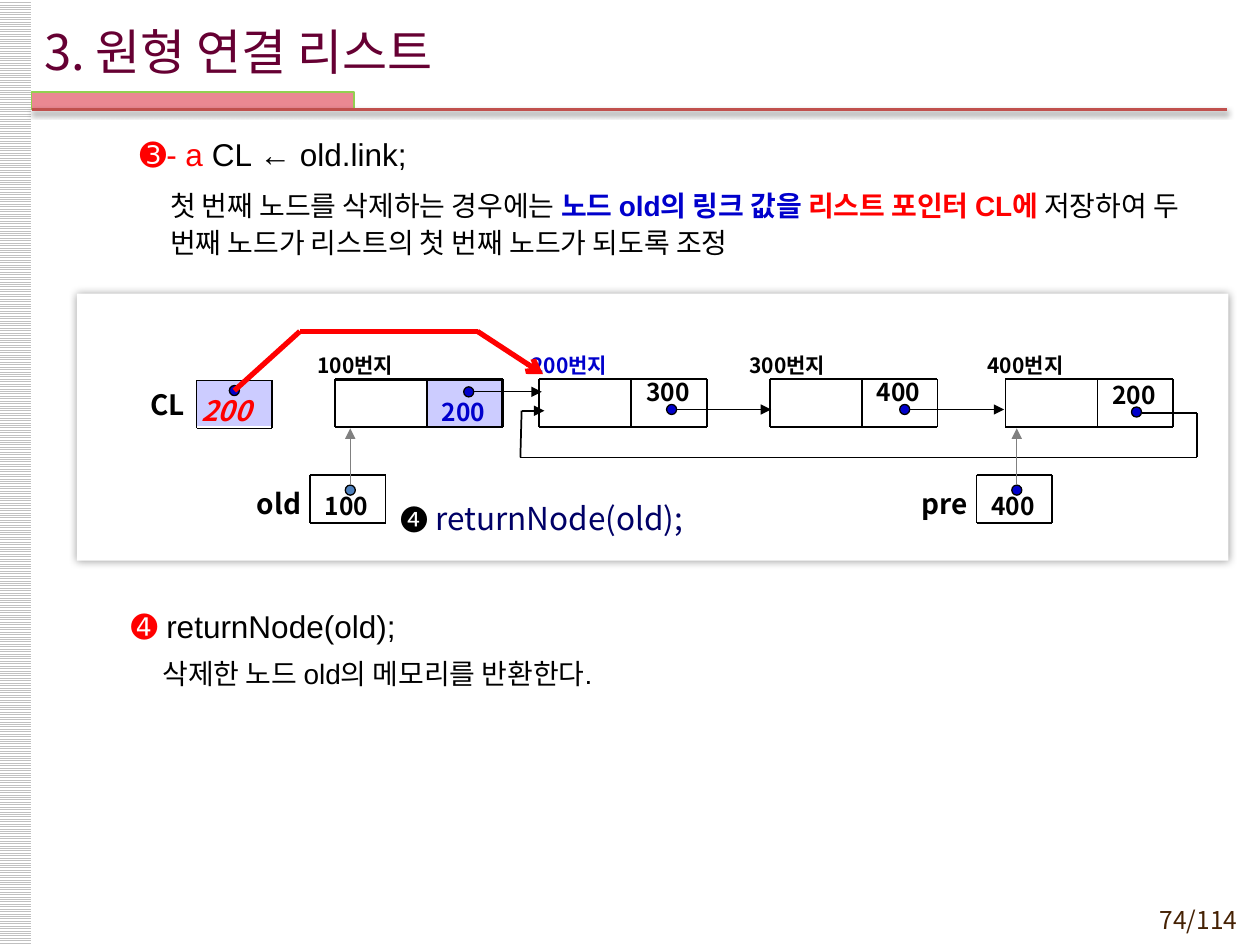
from lxml import etree
from pptx import Presentation
from pptx.dml.color import RGBColor
from pptx.enum.dml import MSO_PATTERN
from pptx.enum.shapes import MSO_CONNECTOR, MSO_SHAPE
from pptx.enum.text import MSO_ANCHOR, MSO_AUTO_SIZE, PP_ALIGN
from pptx.oxml.ns import qn
from pptx.util import Inches, Pt

RECTANGLE, OVAL = MSO_SHAPE.RECTANGLE, MSO_SHAPE.OVAL
STRAIGHT = MSO_CONNECTOR.STRAIGHT
LEFT, RIGHT = PP_ALIGN.LEFT, PP_ALIGN.RIGHT
TOP, MIDDLE = MSO_ANCHOR.TOP, MSO_ANCHOR.MIDDLE
NO_AUTOFIT = MSO_AUTO_SIZE.NONE
LIGHT_HORIZONTAL = MSO_PATTERN.LIGHT_HORIZONTAL

KOREAN, LATIN = "Noto Sans CJK KR", "Arial"
COLORS = {
    "black": "000000", "white": "FFFFFF", "red": "FF0000", "blue": "0000CC",
    "navy": "000066", "lavender": "CCCCFF", "gray": "808080", "steel": "4F81BD",
    "stripe": "C0C0C0", "pink": "EA8892", "green": "92D050", "rule": "C0504D",
    "title": "660033", "page": "452103",
}
NODE_TOP, BOX_HEIGHT, CELL_WIDTH, NODE_WIDTH, DIVIDER = 3.01, 0.38, 0.6, 1.33, 0.73
POINTER_TOP, DOT = 3.77, 0.08


def color(name):
    return RGBColor.from_string(COLORS[name])


class SlideBuilder:
    def __init__(self, slide):
        self.slide = slide

    def runs(self, paragraph, parts, size, font=KOREAN):
        """Each part is (text, color, style), where style holds b and/or i."""
        for text, tint, style in parts:
            run = paragraph.add_run()
            run.text = text
            run.font.size = Pt(size)
            run.font.bold = "b" in style
            run.font.italic = "i" in style
            run.font.color.rgb = color(tint)
            run.font.name = font
            east_asian = etree.Element(qn("a:ea"), typeface=KOREAN)
            run.font._element.find(qn("a:latin")).addnext(east_asian)

    def indent(self, paragraph, margin, first=0):
        properties = paragraph._p.get_or_add_pPr()
        properties.set("marL", str(Inches(margin)))
        properties.set("indent", str(Inches(first)))
        etree.SubElement(properties, qn("a:buNone"))

    def place(self, shape, left, top, width, height, anchor):
        shape.left, shape.top = Inches(left), Inches(top)
        shape.width, shape.height = Inches(width), Inches(height)
        frame = shape.text_frame
        frame.word_wrap, frame.auto_size = True, NO_AUTOFIT
        frame.vertical_anchor = anchor
        return frame

    def text(self, left, top, width, height, text, size, tint="black",
             style="b", align=LEFT, anchor=MIDDLE):
        box = self.slide.shapes.add_textbox(0, 0, 0, 0)
        frame = self.place(box, left, top, width, height, anchor)
        frame.paragraphs[0].alignment = align
        self.runs(frame.paragraphs[0], [(text, tint, style)], size)
        return frame

    def shape(self, kind, left, top, width, height, fill, line=None):
        shape = self.slide.shapes.add_shape(
            kind, Inches(left), Inches(top), Inches(width), Inches(height))
        shape.shadow.inherit = False
        shape.fill.solid()
        shape.fill.fore_color.rgb = color(fill)
        if line:
            shape.line.color.rgb = color(line)
            shape.line.width = Pt(0.75)
        else:
            shape.line.fill.background()
        return shape

    def line(self, x1, y1, x2, y2, tint="black", width=1, head=None):
        line = self.slide.shapes.add_connector(
            STRAIGHT, Inches(x1), Inches(y1), Inches(x2), Inches(y2))
        line.line.color.rgb = color(tint)
        line.line.width = Pt(width)
        if head:
            etree.SubElement(line.line._get_or_add_ln(), qn("a:tailEnd"), type=head)
        etree.SubElement(line._element.spPr, qn("a:effectLst"))
        return line

    def shadow(self, shape, opacity, blur, distance=0, angle=0):
        effects = shape._element.spPr.find(qn("a:effectLst"))
        outer = etree.SubElement(
            effects, qn("a:outerShdw"), blurRad=str(Pt(blur)), dist=str(Pt(distance)),
            dir=str(angle * 60000), algn="ctr", rotWithShape="0")
        black = etree.SubElement(outer, qn("a:srgbClr"), val=COLORS["black"])
        etree.SubElement(black, qn("a:alpha"), val=str(opacity * 1000))

    def dot(self, left, top, fill="blue"):
        self.shape(OVAL, left, top, DOT, DOT, fill, "black")

    def frame(self, left, top, width, dividers=(), weight=1):
        bottom = top + BOX_HEIGHT
        for y in (top, bottom):
            self.line(left, y, left + width, y, width=weight)
        for offset in (0, *dividers, width):
            self.line(left + offset, top, left + offset, bottom, width=weight)

    def node(self, left, label_left, label, value, value_top,
             tint="black", value_tint="black", weight=1):
        self.frame(left, NODE_TOP, NODE_WIDTH, (DIVIDER,), weight)
        self.text(label_left, 2.81, 0.96, 0.18, label, 12, tint)
        self.text(left + 0.75, value_top, 0.56, 0.18, value, 14, value_tint)

    def name(self, left, top, text):
        frame = self.text(left, top, 0.46, 0.38, text, 16, align=RIGHT)
        frame.margin_left = frame.margin_right = frame.margin_top = 0

    def pointer(self, left, name, value, fill):
        self.name(left - 0.53, 3.83, name)
        self.frame(left, POINTER_TOP, CELL_WIDTH)
        self.text(left + 0.02, 3.92, 0.56, 0.18, value, 14)
        self.dot(left + 0.28, 3.85, fill)
        self.line(left + 0.32, 3.85, left + 0.32, 3.4, "gray", 0.75, "triangle")

    def link(self, left, top, end):
        middle = top + DOT / 2
        self.line(left + DOT, middle, end, middle, width=0.75, head="triangle")
        self.dot(left, top)


def main():
    presentation = Presentation()
    presentation.slide_width, presentation.slide_height = Inches(10), Inches(7.5)
    slide = presentation.slides.add_slide(presentation.slide_layouts[1])
    builder = SlideBuilder(slide)

    # Side stripe, header rule and page number
    stripe = builder.shape(RECTANGLE, -0.01, 0, 0.26, 7.5, "white")
    stripe.fill.patterned()
    stripe.fill.pattern = LIGHT_HORIZONTAL
    stripe.fill.fore_color.rgb = color("stripe")
    stripe.fill.back_color.rgb = color("white")
    builder.shape(RECTANGLE, 0.25, 0.73, 2.56, 0.14, "pink", "green")
    rule = builder.line(0.25, 0.87, 9.74, 0.87, "rule", 2)
    builder.shadow(rule, 38, 3.1, 1.6, 90)
    builder.text(8.86, 7.13, 1.06, 0.29, "74/114", 14, "page", "", RIGHT, TOP)

    # Title
    title = builder.place(slide.shapes.title, 0.25, 0.09, 8.27, 0.63, MIDDLE)
    title.paragraphs[0].alignment = LEFT
    builder.runs(title.paragraphs[0], [("3. 원형 연결 리스트", "title", "")], 28)

    # Explanations: margin, size, space before, line spacing, runs
    body = builder.place(slide.placeholders[1], 0.25, 1.02, 9.5, 6.25, TOP)
    explanations = [
        (0.76, 18, 0, 1, [("➌- a ", "red", ""), ("CL ← old.link;", "black", "")]),
        (1, 16, 4, 1.1, [
            ("첫 번째 노드를 삭제하는 경우에는 ", "black", ""),
            ("노드 old의 링크 값을 ", "blue", "b"),
            ("리스트 포인터 CL에 ", "red", "b"),
            ("저장하여 두 번째 노드가 리스트의 첫 번째 노드가 되도록 조정", "black", "")]),
        (0.69, 18, 196, 1, [("➍ ", "red", ""), ("returnNode(old);", "black", "")]),
        (0.94, 16, 4, 1, [("삭제한 노드 old의 메모리를 반환한다.", "black", "")]),
    ]
    for index, (margin, size, before, spacing, parts) in enumerate(explanations):
        paragraph = body.add_paragraph() if index else body.paragraphs[0]
        builder.indent(paragraph, margin)
        paragraph.space_before, paragraph.space_after = Pt(before), Pt(3)
        paragraph.line_spacing = spacing
        builder.runs(paragraph, parts, size, LATIN)

    # Diagram panel
    panel = builder.shape(RECTANGLE, 0.61, 2.33, 9.14, 2.12, "white")
    builder.shadow(panel, 40, 5)

    # List pointer CL
    builder.shape(RECTANGLE, 1.57, 3.02, 0.58, 0.36, "lavender", "lavender")
    builder.name(1.01, 3.04, "CL")
    builder.frame(1.56, 3.02, CELL_WIDTH)
    builder.dot(1.82, 3.06)
    builder.text(1.5, 3.15, 0.68, 0.22, "200", 16, "red", "bi")

    # Nodes
    builder.shape(RECTANGLE, 3.4, 3.03, 0.58, 0.36, "lavender", "lavender")
    builder.node(2.66, 2.42, "100번지", "200", 3.18, value_tint="blue", weight=1.5)
    builder.node(4.28, 4.12, "200번지", "300", 3.02, tint="blue")
    builder.node(6.11, 5.85, "300번지", "400", 3.02)
    builder.node(7.98, 7.74, "400번지", "200", 3.04)

    # Links between nodes, and the circular link back
    for left, top, end in ((3.68, 3.07, 4.3), (5.29, 3.21, 6.12), (7.14, 3.21, 7.97)):
        builder.link(left, top, end)
    builder.dot(8.98, 3.23)
    route = [(9.06, 3.28), (9.5, 3.28), (9.5, 3.63), (4.13, 3.63), (4.14, 3.26)]
    for start, end in zip(route, route[1:]):
        builder.line(*start, *end)
    builder.line(4.14, 3.26, 4.32, 3.26, head="triangle")

    # Pointers old and pre
    builder.pointer(2.46, "old", "100", "steel")
    builder.pointer(7.75, "pre", "400", "blue")

    # New link from CL to the second node
    builder.line(1.86, 3.1, 2.38, 2.63, "red", 3)
    builder.line(2.38, 2.63, 3.79, 2.63, "red", 3)
    builder.line(3.79, 2.63, 4.31, 2.97, "red", 3, "arrow")

    # Step caption
    caption = builder.text(2.58, 3.85, 3.01, 0.46, "❹", 16, style="", anchor=TOP)
    builder.indent(caption.paragraphs[0], 0.92, -0.42)
    caption.paragraphs[0].line_spacing = 1.2
    builder.runs(caption.paragraphs[0], [(" returnNode(old);", "navy", "")], 18)

    presentation.save("out.pptx")


if __name__ == "__main__":
    main()
